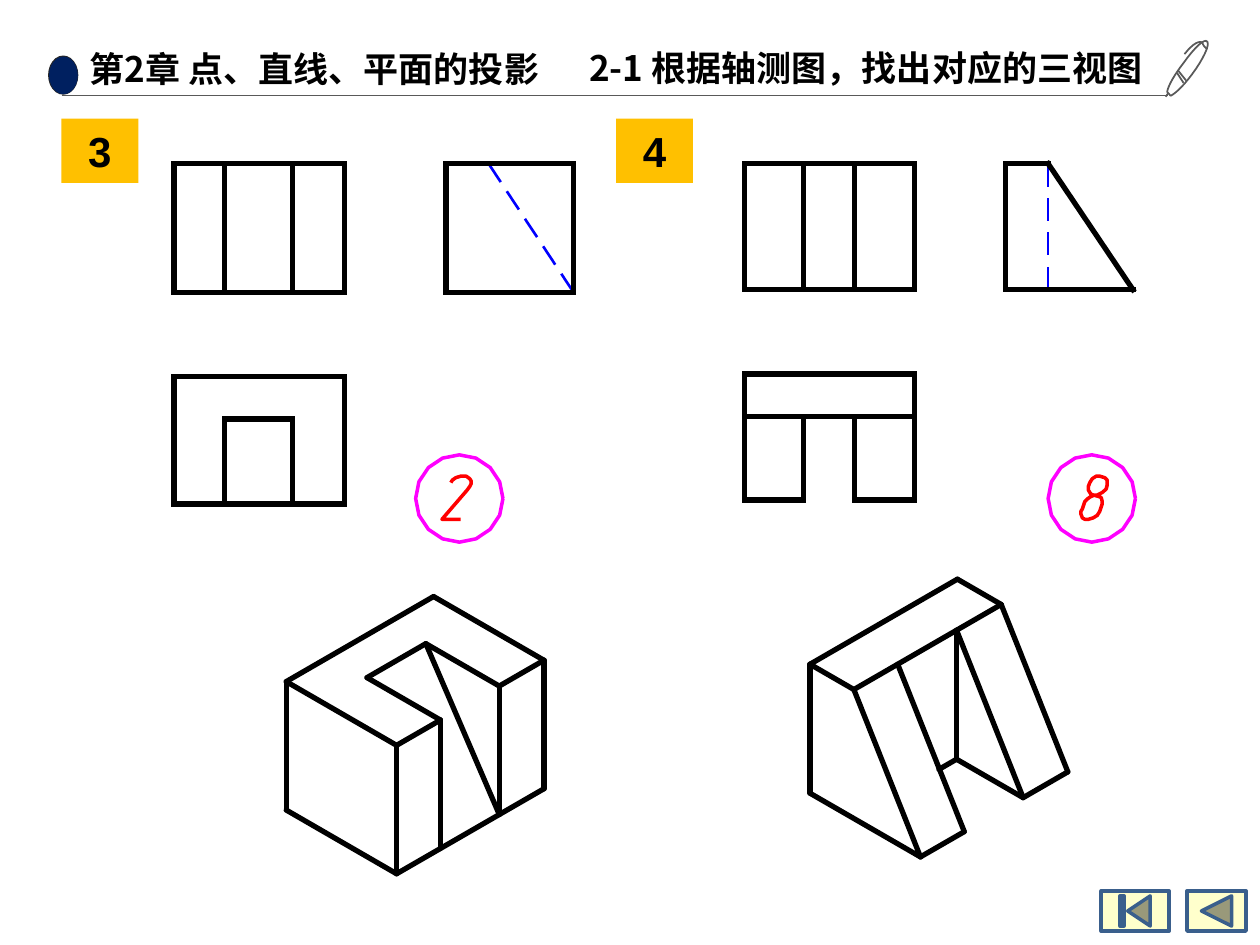
from itertools import pairwise
from math import cos, pi, radians, sin

from lxml import etree
from pptx import Presentation
from pptx.dml.color import RGBColor
from pptx.enum.shapes import MSO_CONNECTOR, MSO_SHAPE
from pptx.enum.text import MSO_ANCHOR, MSO_AUTO_SIZE, PP_ALIGN
from pptx.oxml.ns import qn
from pptx.util import Cm, Pt

STRAIGHT = MSO_CONNECTOR.STRAIGHT
ELLIPSE, RECTANGLE = MSO_SHAPE.OVAL, MSO_SHAPE.RECTANGLE
TO_BEGINNING = MSO_SHAPE.ACTION_BUTTON_BEGINNING
TO_PREVIOUS = MSO_SHAPE.ACTION_BUTTON_BACK_OR_PREVIOUS
TOP, MIDDLE = MSO_ANCHOR.TOP, MSO_ANCHOR.MIDDLE
LEFT, CENTER = PP_ALIGN.LEFT, PP_ALIGN.CENTER
NO_AUTOFIT = MSO_AUTO_SIZE.NONE

HEADING_FONT, LABEL_FONT = "Noto Sans CJK SC", "Arial"
BLACK, GREY, BLUE = "000000", "595959", "0000FF"

# Sizes in cm shared by the views of both solids
WIDTH, DEPTH = 3.43, 2.57
SHELF = 0.86
SLOT_LEFT, SLOT_RIGHT = 1.02, 2.39

DIGIT_TWO = [(0.91, 1.3), (0.53, 1.3), (1.04, 0.71), (1.09, 0.64), (1.12, 0.58),
             (1.12, 0.53), (1.09, 0.48), (1.02, 0.43), (0.91, 0.43), (0.81, 0.46),
             (0.74, 0.51), (0.71, 0.56)]
DIGIT_EIGHT = [(1.19, 0.61), (1.17, 0.69), (1.09, 0.76), (0.99, 0.81), (0.94, 0.81),
               (0.86, 0.84), (0.79, 0.89), (0.74, 0.94), (0.69, 1.09), (0.66, 1.14),
               (0.66, 1.19), (0.69, 1.27), (0.74, 1.3), (0.81, 1.3), (0.91, 1.27),
               (0.99, 1.22), (1.04, 1.14), (1.09, 0.99), (1.09, 0.94), (1.07, 0.86),
               (1.02, 0.84), (0.91, 0.81), (0.86, 0.79), (0.81, 0.71), (0.81, 0.64),
               (0.84, 0.56), (0.89, 0.48), (0.97, 0.43), (1.04, 0.43), (1.14, 0.46),
               (1.19, 0.51), (1.19, 0.56), (1.19, 0.61)]


def color(value):
    return RGBColor.from_string(value)


def add_path(shapes, left, top, points, line_color=BLACK, width=3, cap="sq"):
    """Join consecutive points with straight connectors."""
    for (x1, y1), (x2, y2) in pairwise(points):
        connector = shapes.add_connector(STRAIGHT, Cm(left + x1), Cm(top + y1),
                                         Cm(left + x2), Cm(top + y2))
        connector.line.color.rgb = color(line_color)
        connector.line.width = Pt(width)
        properties = connector._element.spPr
        properties.find(qn("a:ln")).set("cap", cap)
        etree.SubElement(properties, qn("a:effectLst"))


def add_hidden_edge(shapes, left, top, start, end, dashes):
    """Space dashes evenly, each gap half as long as a dash."""
    dash = 1 / (1.5 * dashes - 0.5)

    def point_at(share):
        return tuple(a + (b - a) * share for a, b in zip(start, end))

    for index in range(dashes):
        begin = 1.5 * dash * index
        add_path(shapes, left, top, [point_at(begin), point_at(begin + dash)],
                 BLUE, 1.5, "flat")


def add_outline(shapes, left, top, contours, line_color, width):
    """Draw open contours as one unfilled freeform."""
    contours = [[(Cm(left + x), Cm(top + y)) for x, y in contour] for contour in contours]
    builder = shapes.build_freeform(*contours[0][0], scale=1.0)
    for index, contour in enumerate(contours):
        if index:
            builder.move_to(*contour[0])
        builder.add_line_segments(contour[1:], close=False)
    shape = builder.convert_to_shape()
    shape.shadow.inherit = False
    shape.fill.background()
    shape.line.color.rgb = color(line_color)
    shape.line.width = Pt(width)


def add_filled(shapes, kind, left, top, width, height, fill, line=None):
    shape = shapes.add_shape(kind, Cm(left), Cm(top), Cm(width), Cm(height))
    shape.shadow.inherit = False
    shape.fill.solid()
    shape.fill.fore_color.rgb = color(fill)
    if line:
        shape.line.color.rgb = color(line)
        shape.line.width = Pt(2)
    else:
        shape.line.fill.background()
    return shape


def write(shape, text, font, size, align, anchor):
    frame = shape.text_frame
    frame.word_wrap = True
    frame.auto_size = NO_AUTOFIT
    frame.vertical_anchor = anchor
    paragraph = frame.paragraphs[0]
    paragraph.alignment = align
    paragraph.space_before = Pt(0)
    run = paragraph.add_run()
    run.text = text
    run.font.name, run.font.size, run.font.bold = font, Pt(size), True
    run.font.color.rgb = color(BLACK)
    etree.SubElement(run.font._element, qn("a:ea"), typeface=font)


def rectangle(width, height):
    return [(0, 0), (width, 0), (width, height), (0, height), (0, 0)]


def curve(start, control1, control2, end, steps=8):
    """Sample a cubic Bezier curve."""
    weights = [((1 - t) ** 3, 3 * t * (1 - t) ** 2, 3 * t * t * (1 - t), t ** 3)
               for t in (step / steps for step in range(steps + 1))]
    return [tuple(sum(w * p[axis] for w, p in zip(weight, (start, control1, control2, end)))
                  for axis in (0, 1)) for weight in weights]


def isometric(depth, width, drop):
    angle = radians(30)
    return (depth + width) * cos(angle), (depth - width) * sin(angle) + drop


def add_solid(slide, left, top, edges):
    group = slide.shapes.add_group_shape()
    for edge in edges:
        add_path(group.shapes, left, top, [isometric(*point) for point in edge], cap="rnd")


def add_pen(shapes, left, top):
    barrel = (curve((0.84, 0.08), (0.79, 0), (0.58, 0.2), (0.36, 0.51))
              + curve((0.36, 0.51), (0.18, 0.74), (0.05, 0.97), (0.03, 1.09))
              + curve((0.1, 1.17), (0.18, 1.14), (0.36, 0.97), (0.53, 0.74))
              + curve((0.53, 0.74), (0.76, 0.43), (0.89, 0.15), (0.84, 0.08)))
    clip = (curve((0.84, 0.23), (0.84, 0.23), (0.76, 0.18), (0.74, 0.1))
            + curve((0.74, 0.1), (0.74, 0.1), (0.64, 0), (0.38, 0.33)))
    bands = [[(0.36, 0.91), (0.23, 0.71)], [(0.25, 0.66), (0.41, 0.86)]]
    nib = [(0.05, 1.12), (0, 1.19)]
    add_outline(shapes, left, top, [barrel, clip, *bands, nib], GREY, 1)


def add_header(slide, left, top):
    shapes = slide.shapes
    add_filled(shapes, ELLIPSE, left, top + 0.36, 0.61, 0.79, "262626")
    add_filled(shapes, ELLIPSE, left + 0.02, top + 0.38, 0.58, 0.76, "002060")
    title = shapes.title
    title.left, title.top = Cm(left + 0.66), Cm(top + 0.1)
    title.width, title.height = Cm(10.34), Cm(1.04)
    frame = title.text_frame
    frame.margin_left = frame.margin_right = Cm(0.18)
    frame.margin_top = frame.margin_bottom = Cm(0.1)
    write(title, "第2章 点、直线、平面的投影", HEADING_FONT, 20, LEFT, TOP)
    section = shapes.add_textbox(Cm(left + 10.66), Cm(top + 0.05), Cm(12.04), Cm(1.12))
    write(section, "2-1 根据轴测图，找出对应的三视图", HEADING_FONT, 20, LEFT, TOP)
    add_path(shapes, left, top, [(0.27, 1.17), (22.58, 1.17)], GREY, 0.75, "flat")
    add_pen(shapes, left + 22.53, top)


def add_number(slide, left, top, text):
    label = add_filled(slide.shapes, RECTANGLE, left, top, 1.55, 1.3, "FFC000")
    write(label, text, LABEL_FONT, 24, CENTER, MIDDLE)


def add_answer(slide, left, top, digit):
    radius, sides = 0.88, 16
    ring = [(radius + radius * cos(2 * pi * i / sides), radius + radius * sin(2 * pi * i / sides))
            for i in range(sides + 1)]
    group = slide.shapes.add_group_shape()
    add_outline(group.shapes, left, top, [ring], "FF00FF", 2)
    add_outline(group.shapes, left, top, [digit], "FF0000", 2)


def add_slotted_block(slide, left, top):
    shapes, height = slide.shapes, 2.59
    add_number(slide, left, top, "3")
    front = rectangle(WIDTH, height)
    slot_sides = [[(x, 0), (x, height)] for x in (SLOT_LEFT, SLOT_RIGHT)]
    for path in (front, *slot_sides):
        add_path(shapes, left + 2.27, top + 0.91, path)
    slot = [(SLOT_LEFT, DEPTH), (SLOT_LEFT, SHELF), (SLOT_RIGHT, SHELF), (SLOT_RIGHT, DEPTH)]
    for path in (rectangle(WIDTH, DEPTH), slot):
        add_path(shapes, left + 2.27, top + 5.2, path)
    add_hidden_edge(shapes, left + 7.75, top + 0.91, (SHELF, 0), (DEPTH, height), 5)
    add_path(shapes, left + 7.75, top + 0.91, rectangle(DEPTH, height))
    add_answer(slide, left + 7.14, top + 6.78, DIGIT_TWO)
    top_face = [(DEPTH, 0, 0), (0, 0, 0), (0, WIDTH, 0), (DEPTH, WIDTH, 0),
                (DEPTH, SLOT_RIGHT, 0), (SHELF, SLOT_RIGHT, 0), (SHELF, SLOT_LEFT, 0),
                (DEPTH, SLOT_LEFT, 0), (DEPTH, 0, 0)]
    base = [(0, 0, 0), (0, 0, height), (DEPTH, 0, height), (DEPTH, WIDTH, height)]
    uprights = [[(DEPTH, w, 0), (DEPTH, w, height)] for w in (0, SLOT_LEFT, SLOT_RIGHT, WIDTH)]
    slope = [(SHELF, SLOT_RIGHT, 0), (DEPTH, SLOT_RIGHT, height)]
    add_solid(slide, left + 4.53, top + 11.35, [top_face, base, *uprights, slope])


def add_slotted_wedge(slide, left, top):
    shapes, height = slide.shapes, 2.54
    inner_left, inner_right = 1.19, 2.21
    add_number(slide, left, top, "4")
    slot_sides = [[(x, 0), (x, height)] for x in (inner_left, inner_right)]
    for path in (rectangle(WIDTH, height), *slot_sides):
        add_path(shapes, left + 2.59, top + 0.91, path)
    plan = [(inner_left, SHELF), (inner_left, height), (0, height), (0, 0), (WIDTH, 0),
            (WIDTH, height), (inner_right, height), (inner_right, SHELF)]
    for path in (plan, [(0, SHELF), (WIDTH, SHELF)]):
        add_path(shapes, left + 2.59, top + 5.15, path)
    add_hidden_edge(shapes, left + 7.85, top + 0.91, (SHELF, 0), (SHELF, height), 4)
    add_path(shapes, left + 7.85, top + 0.91,
             [(0, 0), (SHELF, 0), (DEPTH, height), (0, height), (0, 0)])
    add_answer(slide, left + 8.71, top + 6.78, DIGIT_EIGHT)
    ridge, drop = 1.02, 2.6
    top_face = [(0, 0, 0), (0, WIDTH, 0), (ridge, WIDTH, 0), (ridge, 0, 0), (0, 0, 0)]
    side = [(0, 0, 0), (0, 0, drop), (DEPTH, 0, drop), (DEPTH, SLOT_LEFT, drop)]
    slopes = [[(ridge, w, 0), (DEPTH, w, drop)] for w in (0, SLOT_LEFT, SLOT_RIGHT, WIDTH)]
    inner = [(ridge, SLOT_RIGHT, 0), (ridge, SLOT_RIGHT, drop), (DEPTH, SLOT_RIGHT, drop),
             (DEPTH, WIDTH, drop)]
    back = [(ridge, SLOT_RIGHT, drop), (ridge, 1.98, drop)]
    add_solid(slide, left + 3.91, top + 11, [top_face, side, *slopes, inner, back])


def add_navigation(slide, left, top):
    for kind, offset, width in ((TO_BEGINNING, 0, 1.37), (TO_PREVIOUS, 1.73, 1.19)):
        add_filled(slide.shapes, kind, left + offset, top, width, 0.81, "FFFFCC", "3A5F8C")


def main():
    presentation = Presentation()
    presentation.slide_width, presentation.slide_height = Cm(25.4), Cm(19.05)
    slide = presentation.slides.add_slide(presentation.slide_layouts[5])
    add_header(slide, 0.97, 0.76)
    add_slotted_block(slide, 1.24, 2.39)
    add_slotted_wedge(slide, 12.42, 2.39)
    add_navigation(slide, 22.2, 17.96)
    presentation.save("out.pptx")


if __name__ == "__main__":
    main()
